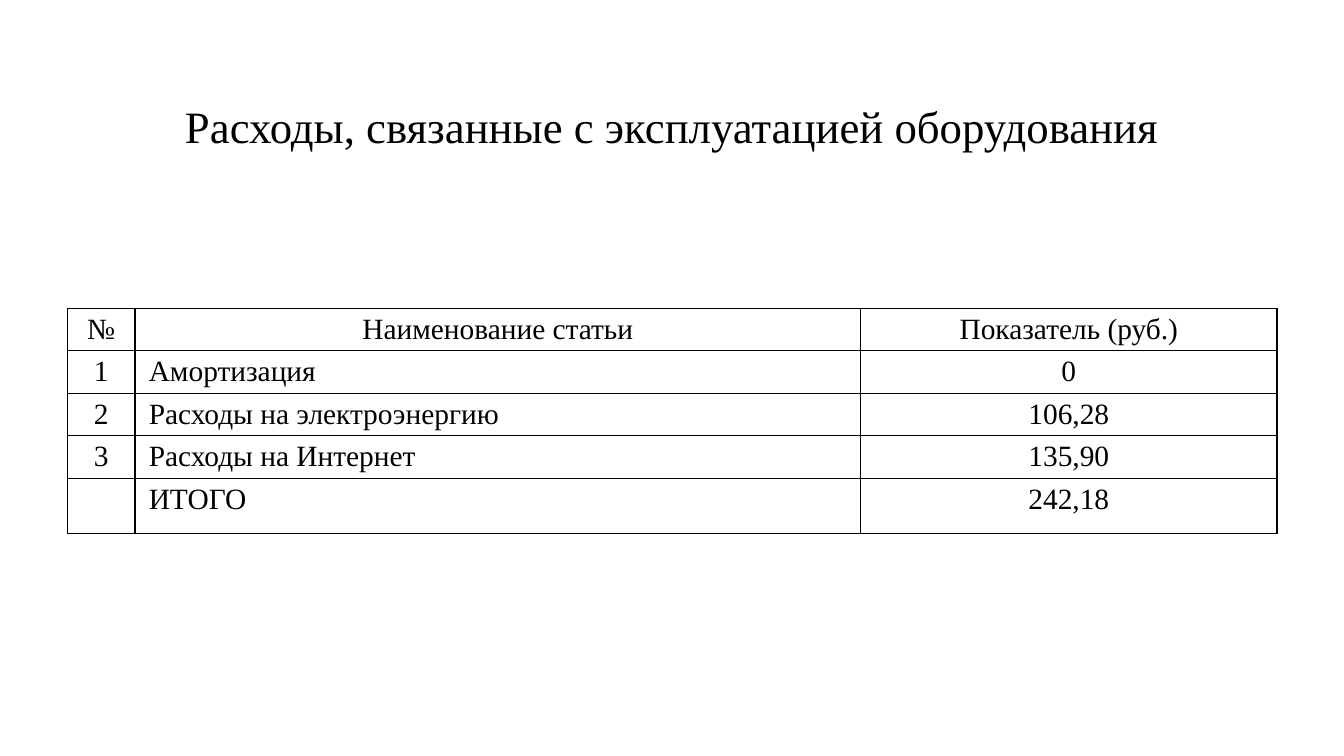
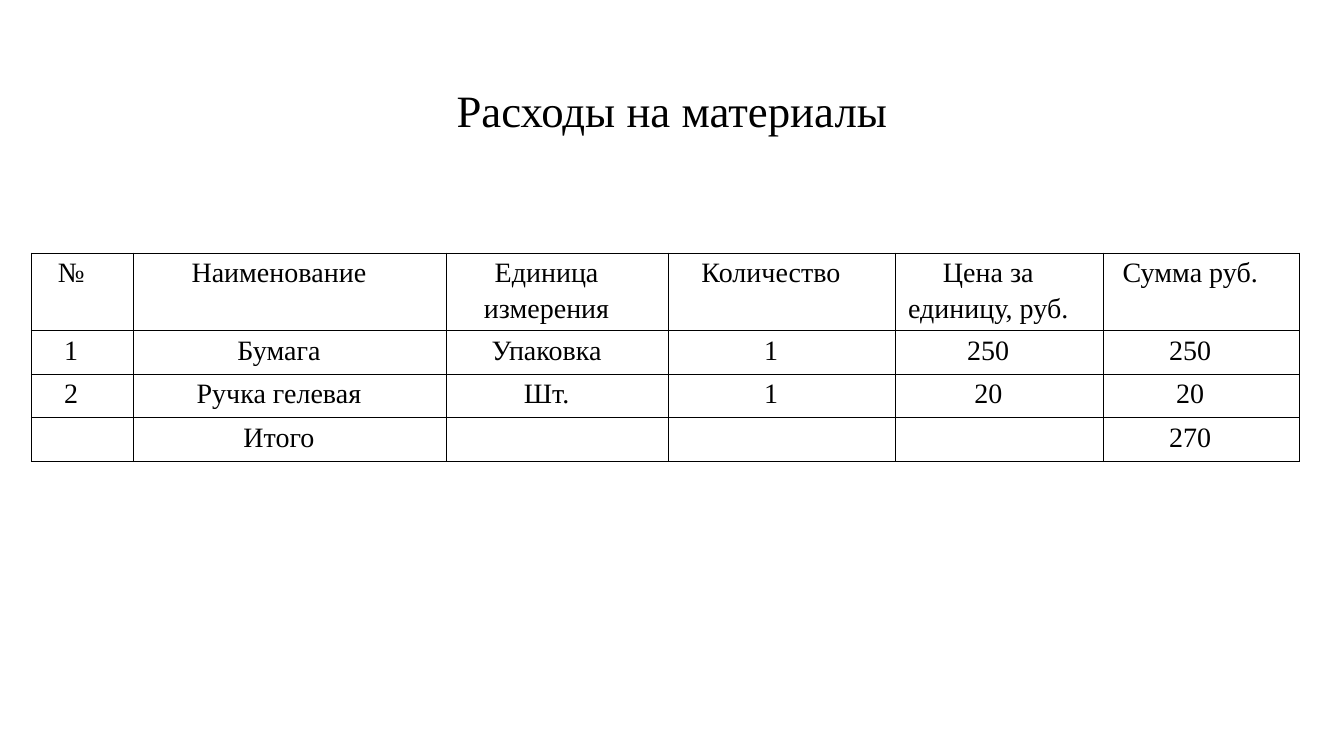
from dataclasses import dataclass

from lxml import etree
from pptx import Presentation
from pptx.dml.color import RGBColor
from pptx.enum.text import MSO_ANCHOR, PP_ALIGN
from pptx.oxml.ns import qn
from pptx.util import Cm, Pt

CENTER, LEFT = PP_ALIGN.CENTER, PP_ALIGN.LEFT
TOP, MIDDLE = MSO_ANCHOR.TOP, MSO_ANCHOR.MIDDLE


@dataclass(frozen=True)
class Theme:
    font: str = "Times New Roman"
    ink: str = "000000"
    paper: str = "FFFFFF"
    title_size: int = 32
    border: int = 1


THEME = Theme()

EQUIPMENT_COSTS = [
    ["№", "Наименование статьи", "Показатель (руб.)"],
    ["1", "Амортизация", "0"],
    ["2", "Расходы на электроэнергию", "106,28"],
    ["3", "Расходы на Интернет", "135,90"],
    ["", "ИТОГО", "242,18"],
]

MATERIAL_COSTS = [
    ["№", "Наименование", "Единица измерения", "Количество",
     "Цена за единицу, руб.", "Сумма руб."],
    ["1", "Бумага", "Упаковка", "1", "250", "250"],
    ["2", "Ручка гелевая", "Шт.", "1", "20", "20"],
    ["", "Итого", "", "", "", "270"],
]


def apply_format(target, values):
    for name, value in values.items():
        setattr(target, name, value)


def write_text(frame, text, size, **para_format):
    para = frame.paragraphs[0]
    apply_format(para, para_format)
    if text:
        span = para.add_run()
        span.text = text
        apply_format(span.font, {"name": THEME.font, "size": Pt(size)})
        span.font.color.rgb = RGBColor.from_string(THEME.ink)


def add_page(deck, title, title_top):
    page = deck.slides.add_slide(deck.slide_layouts[6])
    page.background.fill.solid()
    page.background.fill.fore_color.rgb = RGBColor.from_string(THEME.paper)
    box = page.shapes.add_textbox(Cm(2.33), Cm(title_top), Cm(29.21), Cm(3.68))
    apply_format(box.text_frame, {"word_wrap": True, "vertical_anchor": MIDDLE})
    write_text(box.text_frame, title, THEME.title_size,
               alignment=CENTER, line_spacing=0.9)
    return page


def style_cell(cell, margins):
    """Give the cell its inner margins, four borders and a plain fill."""
    left, right = margins
    apply_format(cell, {
        "margin_left": Cm(left), "margin_right": Cm(right),
        "margin_top": 0, "margin_bottom": 0, "vertical_anchor": TOP,
    })
    properties = cell._tc.get_or_add_tcPr()
    for side in ("lnL", "lnR", "lnT", "lnB"):
        line = etree.SubElement(properties, qn(f"a:{side}"), w=str(Pt(THEME.border)))
        fill = etree.SubElement(line, qn("a:solidFill"))
        etree.SubElement(fill, qn("a:srgbClr"), val=THEME.ink)
    cell.fill.solid()
    cell.fill.fore_color.rgb = RGBColor.from_string(THEME.paper)


def add_cost_table(page, rows, left, top, widths, heights, size, margins,
                   left_column=None):
    """Add a bordered table; body cells of left_column are left-aligned."""
    table = page.shapes.add_table(
        len(rows), len(widths), Cm(left), Cm(top),
        Cm(sum(widths)), Cm(sum(heights))).table
    apply_format(table, {"first_row": False, "horz_banding": False})
    for column, width in zip(table.columns, widths):
        column.width = Cm(width)
    for row, height in zip(table.rows, heights):
        row.height = Cm(height)
    for r, texts in enumerate(rows):
        for c, text in enumerate(texts):
            cell = table.cell(r, c)
            style_cell(cell, margins)
            write_text(cell.text_frame, text, size,
                       alignment=LEFT if r and c == left_column else CENTER,
                       line_spacing=1.15, space_after=Pt(10))


def main():
    deck = Presentation()
    apply_format(deck, {"slide_width": Cm(33.87), "slide_height": Cm(19.05)})

    page = add_page(deck, "Расходы, связанные с эксплуатацией оборудования", 1.4)
    add_cost_table(page, EQUIPMENT_COSTS, left=1.7, top=7.77,
                   widths=[1.7, 18.29, 10.49], heights=[1.07] * 4 + [1.4],
                   size=21, margins=(0.35, 0.35), left_column=1)

    page = add_page(deck, "Расходы на материалы", 1)
    add_cost_table(page, MATERIAL_COSTS, left=0.79, top=6.38,
                   widths=[2.57, 7.9, 5.59, 5.72, 5.23, 4.95],
                   heights=[1.8] + [1.1] * 3, size=20, margins=(0.24, 0.8))

    deck.save("out.pptx")


if __name__ == "__main__":
    main()
